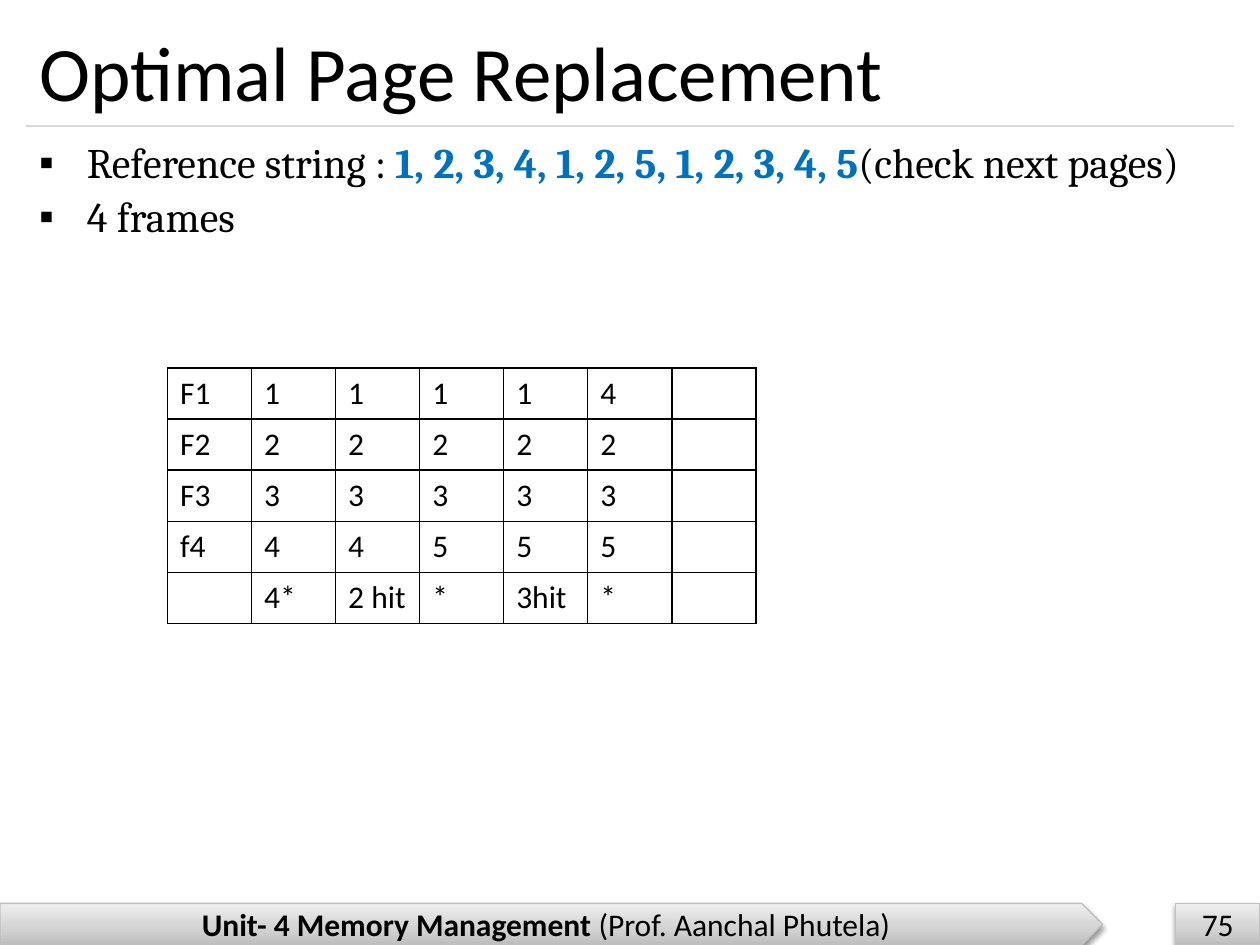
from copy import deepcopy
from dataclasses import dataclass

from lxml.etree import SubElement as Sub
from pptx import Presentation
from pptx.dml.color import RGBColor as RGB
from pptx.enum.shapes import MSO_CONNECTOR as Link, MSO_SHAPE as Shape
from pptx.enum.text import MSO_ANCHOR as Anchor, PP_ALIGN as Align
from pptx.oxml.ns import qn
from pptx.util import Inches, Pt


@dataclass(frozen=True)
class Theme:
    sans: str = "Calibri"
    serif: str = "Cambria"
    ink: str = "000000"
    blue: str = "0070C0"
    rule: str = "D9D9D9"
    edge: str = "BFBFBF"
    grey: tuple = ((0, "BDBDBD"), (0.35, "D1D1D1"), (1, "EEEEEE"))
    head: int = 44
    body: int = 24
    small: int = 18
    thin: float = 0.75


THEME = Theme()
BULLETS = [
    [("Reference string : ", False),
     ("1, 2, 3, 4, 1, 2, 5, 1, 2, 3, 4, 5", True),
     ("(check next pages)", False)],
    [("4 frames", False)],
]
FRAMES = [
    ["F1", "1", "1", "1", "1", "4", ""],
    ["F2", "2", "2", "2", "2", "2", ""],
    ["F3", "3", "3", "3", "3", "3", ""],
    ["f4", "4", "4", "5", "5", "5", ""],
    ["", "4*", "2 hit", "*", "3hit", "*", ""],
]


def style(font, size, face=THEME.sans, color=THEME.ink, bold=False):
    font.name, font.size, font.bold = face, Pt(size), bold
    font.color.rgb = RGB.from_string(color)


def place(shape, box):
    shape.left, shape.top, shape.width, shape.height = map(Inches, box)


def add_runs(para, parts):
    """Add (text, bold) parts and return the runs."""
    runs = []
    for text, bold in parts:
        run = para.add_run()
        run.text = text
        runs.append((run, bold))
    return runs


def add_title(slide, box, text):
    title = slide.shapes.title
    place(title, box)
    frame = title.text_frame
    frame.text = text
    frame.vertical_anchor = Anchor.MIDDLE
    para = frame.paragraphs[0]
    para.alignment = Align.LEFT
    style(para.runs[0].font, THEME.head)


def add_rule(slide, box):
    left, top, width, _ = map(Inches, box)
    line = slide.shapes.add_connector(
        Link.STRAIGHT, left, top, left + width, top)
    line.line.color.rgb = RGB.from_string(THEME.rule)
    line.line.width = Pt(THEME.thin)
    Sub(line._element.spPr, qn("a:effectLst"))


def add_list(slide, box, items):
    body = slide.placeholders[1]
    place(body, box)
    frame = body.text_frame
    for i, parts in enumerate(items):
        para = frame.add_paragraph() if i else frame.paragraphs[0]
        para.line_spacing = 0.9
        para.space_before = Pt(0.2 * THEME.body if i else 0)
        props = para._p.get_or_add_pPr()
        props.set("marL", str(Inches(0.38)))
        props.set("indent", str(Inches(-0.38)))
        Sub(props, qn("a:buChar"), char="▪")
        tabs = Sub(props, qn("a:tabLst"))
        Sub(tabs, qn("a:tab"), pos=str(Inches(2.07)), algn="l")
        for run, bold in add_runs(para, parts):
            color = THEME.blue if bold else THEME.ink
            style(run.font, THEME.body, THEME.serif, color, bold)


def add_border(cell):
    props = cell._tc.get_or_add_tcPr()
    for i, side in enumerate(("lnL", "lnR", "lnT", "lnB")):
        line = props.makeelement(qn(f"a:{side}"), {"w": str(Pt(1))})
        fill = Sub(line, qn("a:solidFill"))
        Sub(fill, qn("a:srgbClr"), val=THEME.ink)
        props.insert(i, line)


def add_grid(slide, box, rows):
    left, top, width, height = map(Inches, box)
    table = slide.shapes.add_table(
        len(rows), len(rows[0]), left, top, width, height).table
    table.first_row = table.horz_banding = False
    for r, row in enumerate(rows):
        for c, text in enumerate(row):
            cell = table.cell(r, c)
            cell.text = text
            cell.fill.background()
            add_border(cell)
            style(cell.text_frame.paragraphs[0].font, THEME.small)


def add_shadow(shape):
    effects = Sub(shape._element.spPr, qn("a:effectLst"))
    outer = Sub(effects, qn("a:outerShdw"), blurRad=str(Pt(3.1)),
                dist=str(Pt(1.6)), dir="5400000", rotWithShape="0")
    color = Sub(outer, qn("a:srgbClr"), val=THEME.ink)
    Sub(color, qn("a:alpha"), val="38000")


def add_bar(slide, kind, box, parts):
    """Add a grey gradient footer shape with centred text."""
    bar = slide.shapes.add_shape(kind, *map(Inches, box))
    bar.fill.gradient()
    bar.fill.gradient_angle = 90
    stops = bar.fill.gradient_stops
    stops[0]._gs.addnext(deepcopy(stops[0]._gs))
    for stop, (pos, color) in zip(bar.fill.gradient_stops, THEME.grey):
        stop.position = pos
        stop.color.rgb = RGB.from_string(color)
    bar.line.color.rgb = RGB.from_string(THEME.edge)
    bar.line.width = Pt(THEME.thin)
    add_shadow(bar)
    frame = bar.text_frame
    frame.vertical_anchor = Anchor.MIDDLE
    para = frame.paragraphs[0]
    para.alignment = Align.CENTER
    for run, bold in add_runs(para, parts):
        style(run.font, THEME.small, bold=bold)


def add_footer(slide, box):
    left, top, width, height = box
    add_bar(slide, Shape.PENTAGON, (left, top, 8.75, height),
            [("Unit- 4 Memory Management ", True),
             ("(Prof. Aanchal Phutela)", False)])
    page = 0.67
    add_bar(slide, Shape.RECTANGLE,
            (left + width - page, top, page, height), [("75", False)])


def main():
    deck = Presentation()
    deck.slide_width, deck.slide_height = Inches(10), Inches(7.5)
    slide = deck.slides.add_slide(deck.slide_layouts[1])
    add_footer(slide, (0, 7.17, 10, 0.33))
    add_rule(slide, (0.21, 1, 9.58, 0))
    add_title(slide, (0.21, 0.12, 9.58, 0.88), "Optimal Page Replacement")
    add_list(slide, (0.21, 1.08, 9.58, 5.83), BULLETS)
    add_grid(slide, (1.33, 2.92, 4.67, 2.03), FRAMES)
    deck.save("out.pptx")


if __name__ == "__main__":
    main()
